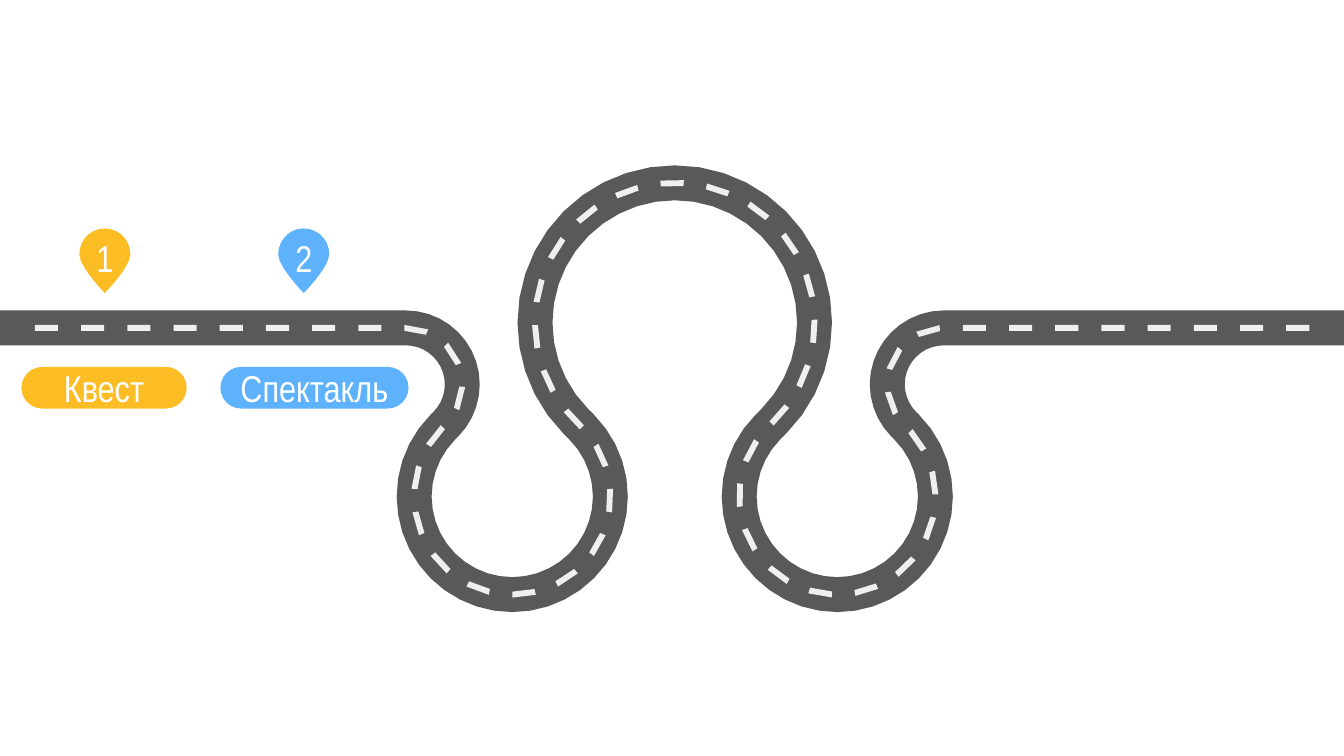
from dataclasses import dataclass
from math import ceil, cos, radians, sin

from pptx import Presentation
from pptx import util as u
from pptx.dml.color import RGBColor
from pptx.enum import shapes, text

COLUMNS, ROWS = 100, 56.25
CELL = u.Inches(10) // COLUMNS
COLORS = {
    "asphalt": "595959",
    "marking": "EFEFEF",
    "quest": "FCBD24",
    "play": "5EB2FC",
    "text": "FFFFFF",
}
Point = tuple[float, float]


@dataclass(frozen=True)
class Leg:
    straight: float = 0
    radius: float = 0
    turn: float = 0

    @property
    def length(self) -> float:
        return self.straight or self.radius * abs(radians(self.turn))


@dataclass(frozen=True)
class Stop:
    number: str
    title: str
    color: str
    pin_left: float
    label_left: float
    label_width: float


ROAD_ROW, ROAD_WIDTH, DEGREES_PER_STEP = 24.4, 2.6, 9
ROAD = [
    Leg(straight=30.2),
    Leg(radius=4.2, turn=135),
    Leg(straight=0.3),
    Leg(radius=7.3, turn=-270),
    Leg(straight=0.6),
    Leg(radius=10.4, turn=270),
    Leg(straight=0.6),
    Leg(radius=7.3, turn=-270),
    Leg(straight=0.3),
    Leg(radius=4.2, turn=135),
    Leg(straight=29.8),
]
ROAD_LENGTH = sum(leg.length for leg in ROAD)

DASHES, DASH_LENGTH, DASH_WIDTH, DASH_MARGIN = 57, 1.72, 0.44, 2.6
DASH_STEP = (ROAD_LENGTH - 2 * DASH_MARGIN - DASH_LENGTH) / (DASHES - 1)

STOPS = [
    Stop("2", "Спектакль", "play", 20.7, 16.4, 14),
    Stop("1", "Квест", "quest", 5.9, 1.6, 12.3),
]
PIN_TOP, PIN_WIDTH, PIN_HEIGHT = 17, 3.8, 4.8
LABEL_TOP, LABEL_HEIGHT = 27.3, 3.1
PIN_CURVES = [
    [(0.5, 0), (0.22, 0), (0, 0.18), (0, 0.4)],
    [(0, 0.4), (0, 0.6), (0.5, 1), (0.5, 1)],
]


def place(distance: float, offset: float) -> Point:
    x, y, heading = 0.0, ROAD_ROW, 0.0
    for leg in ROAD:
        step = min(distance, leg.length)
        half_bend = radians(leg.turn) * step / leg.length / 2
        chord = step * sin(half_bend) / half_bend if half_bend else step
        x += chord * cos(heading + half_bend)
        y += chord * sin(heading + half_bend)
        heading += 2 * half_bend
        distance -= step
    return x - offset * sin(heading), y + offset * cos(heading)


def strip(stations: list[float], width: float) -> list[Point]:
    near_side = [place(station, -width / 2) for station in stations]
    far_side = [place(station, width / 2) for station in reversed(stations)]
    return near_side + far_side


def road_stations() -> list[float]:
    stations = [0.0]
    for leg in ROAD:
        start = stations[-1]
        steps = max(1, ceil(abs(leg.turn) / DEGREES_PER_STEP))
        stations += [start + leg.length * i / steps for i in range(1, steps + 1)]
    return stations


def bezier(controls: list[Point], steps: int = 7) -> list[Point]:
    points = []
    for i in range(steps):
        t = i / steps
        weights = [(1 - t) ** 3, 3 * t * (1 - t) ** 2, 3 * t * t * (1 - t), t**3]
        points.append(tuple(
            sum(w * c[axis] for w, c in zip(weights, controls)) for axis in (0, 1)
        ))
    return points


def pin_outline(left: float) -> list[Point]:
    left_side = [point for curve in PIN_CURVES for point in bezier(curve)]
    right_side = [(1 - x, y) for x, y in reversed(left_side[1:])]
    return [(left + x * PIN_WIDTH, PIN_TOP + y * PIN_HEIGHT)
            for x, y in left_side + [(0.5, 1)] + right_side]


def paint(shape, color: str):
    shape.shadow.inherit = False
    shape.fill.solid()
    shape.fill.fore_color.rgb = RGBColor.from_string(COLORS[color])
    shape.line.fill.background()
    return shape


def draw_outlines(slide, outlines: list[list[Point]], color: str):
    builder = None
    for outline in outlines:
        first, *rest = [(x * CELL, y * CELL) for x, y in outline]
        if builder is None:
            builder = slide.shapes.build_freeform(*first, scale=1.0)
        else:
            builder.move_to(*first)
        builder.add_line_segments(rest, close=True)
    return paint(builder.convert_to_shape(), color)


def write(shape, words: str, *, size: float = 20, font: str = "Arial Narrow",
          color: str = "text", bottom: float = 1) -> None:
    frame = shape.text_frame
    frame.word_wrap = True
    frame.vertical_anchor = text.MSO_ANCHOR.MIDDLE
    frame.margin_left = frame.margin_right = frame.margin_top = CELL
    frame.margin_bottom = int(bottom * CELL)
    paragraph = frame.paragraphs[0]
    paragraph.alignment = text.PP_ALIGN.CENTER
    run = paragraph.add_run()
    run.text = words
    run.font.size = u.Pt(size)
    run.font.name = font
    run.font.color.rgb = RGBColor.from_string(COLORS[color])


def draw_stop(slide, stop: Stop) -> None:
    box = (stop.label_left, LABEL_TOP, stop.label_width, LABEL_HEIGHT)
    label = slide.shapes.add_shape(
        shapes.MSO_SHAPE.ROUNDED_RECTANGLE, *(round(side * CELL) for side in box)
    )
    label.adjustments[0] = 0.5
    write(paint(label, stop.color), stop.title)
    pin = draw_outlines(slide, [pin_outline(stop.pin_left)], stop.color)
    write(pin, stop.number, bottom=1.5)


def main() -> None:
    deck = Presentation()
    deck.slide_width = COLUMNS * CELL
    deck.slide_height = int(ROWS * CELL)
    slide = deck.slides.add_slide(deck.slide_layouts[6])

    draw_outlines(slide, [strip(road_stations(), ROAD_WIDTH)], "asphalt")
    dash_starts = [DASH_MARGIN + i * DASH_STEP for i in range(DASHES)]
    dashes = [strip([start, start + DASH_LENGTH], DASH_WIDTH) for start in dash_starts]
    draw_outlines(slide, dashes, "marking")
    for stop in STOPS:
        draw_stop(slide, stop)

    deck.save("out.pptx")


if __name__ == "__main__":
    main()
